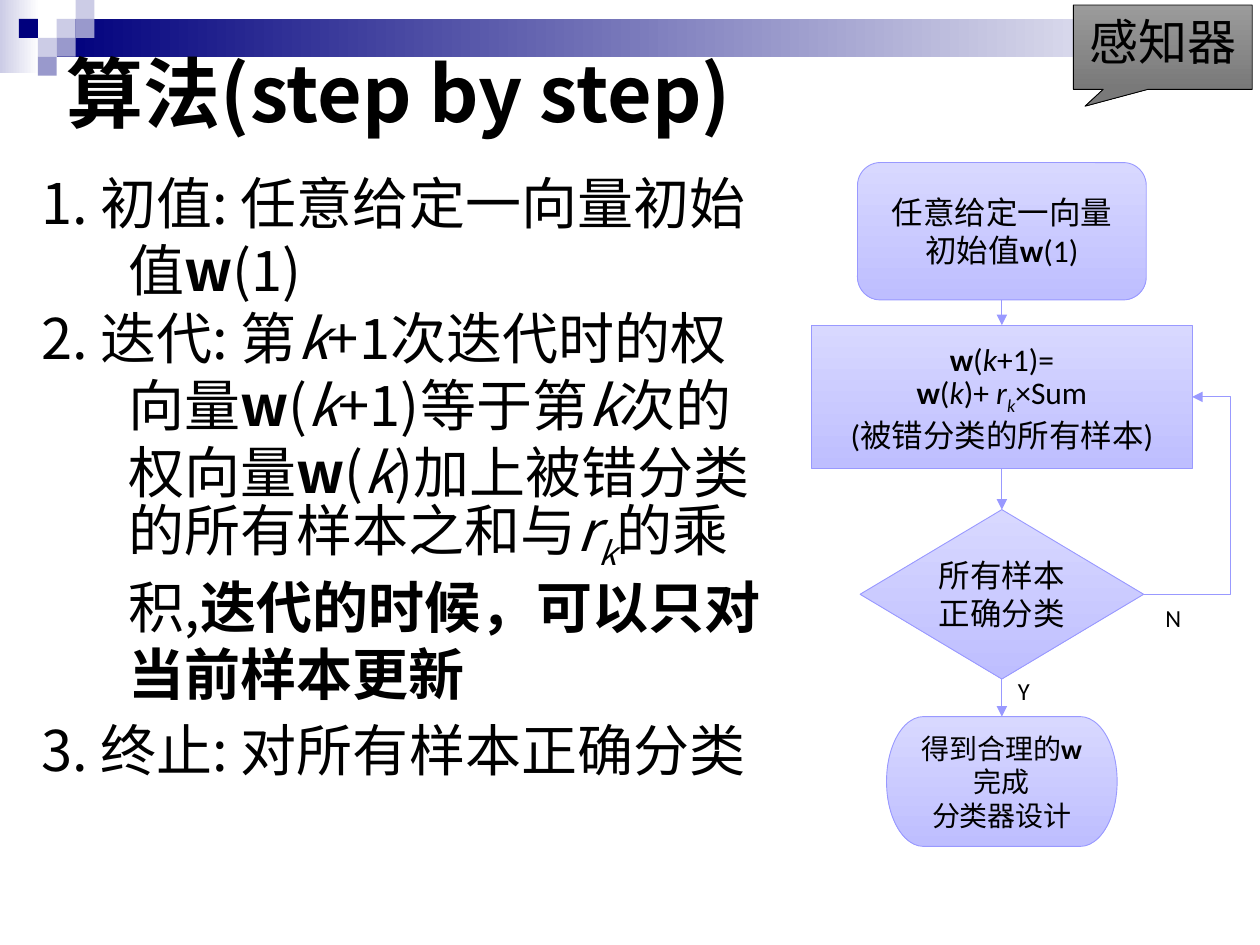
"""Build the slide that explains the batch perceptron algorithm step by step."""
import lxml.etree
import pptx
import pptx.dml.color
import pptx.enum.shapes
import pptx.enum.text
import pptx.oxml.ns
import pptx.util
from dataclasses import dataclass

Pt = pptx.util.Pt
qn = pptx.oxml.ns.qn
RGB = pptx.dml.color.RGBColor.from_string
SHAPE = pptx.enum.shapes.MSO_SHAPE
CONNECTOR = pptx.enum.shapes.MSO_CONNECTOR
ALIGN = pptx.enum.text.PP_ALIGN
ANCHOR = pptx.enum.text.MSO_ANCHOR


@dataclass
class Theme:
    text: str = "000000"
    navy: str = "00007D"
    violet: str = "9999CC"
    pale: str = "CCCCE6"
    white: str = "FFFFFF"
    outline: str = "9999FF"
    flow: tuple = ("D8D8FF", "BEBEFF")
    callout: tuple = ("9B9B9B", "797979")
    cjk_font: str = "Noto Sans CJK SC"
    flow_font: str = "Calibri"
    callout_font: str = "Arial"
    title_size: int = 44
    body_size: int = 32
    callout_size: int = 28
    flow_size: int = 18
    end_size: int = 16
    label_size: int = 14
    leading: float = 1.2
    line_width: float = 0.5


theme = Theme()


def write_text(shape, paragraphs, size, font, align, anchor, wrap):
    """Fill a shape with paragraphs of (text, style) runs; b, i, s mean bold, italic, subscript."""
    frame = shape.text_frame
    frame.word_wrap = wrap
    frame.vertical_anchor = anchor
    for index, runs in enumerate(paragraphs):
        paragraph = frame.paragraphs[0] if index == 0 else frame.add_paragraph()
        paragraph.alignment = align
        paragraph.line_spacing = Pt(round(size * theme.leading, 1))
        for text, style in runs:
            for position, piece in enumerate(text.split("\n")):
                if position:
                    paragraph.add_line_break()
                if not piece:
                    continue
                run = paragraph.add_run()
                run.text = piece
                run.font.size = Pt(size)
                run.font.bold = "b" in style
                run.font.italic = "i" in style
                run.font.color.rgb = RGB(theme.text)
                run.font.name = font
                properties = run.font._element
                lxml.etree.SubElement(properties, qn("a:ea")).set("typeface", theme.cjk_font)
                if "s" in style:
                    properties.set("baseline", "-25000")


def add_filled(kind, box, colours, angle=0, outline=None):
    """Add a shape with a plain fill for one colour or a gradient for two."""
    shape = slide.shapes.add_shape(kind, *[Pt(length) for length in box])
    shape.shadow.inherit = False
    if len(colours) == 1:
        shape.fill.solid()
        shape.fill.fore_color.rgb = RGB(colours[0])
    else:
        shape.fill.gradient()
        shape.fill.gradient_angle = angle
        for stop, colour, position in zip(shape.fill.gradient_stops, colours, (0, 1)):
            stop.color.rgb = RGB(colour)
            stop.position = position
    if outline:
        shape.line.color.rgb = RGB(outline)
        shape.line.width = Pt(theme.line_width)
    else:
        shape.line.fill.background()
    return shape


presentation = pptx.Presentation()
presentation.slide_width = Pt(720)
presentation.slide_height = Pt(540)
slide = presentation.slides.add_slide(presentation.slide_layouts[5])

add_filled(SHAPE.RECTANGLE, (0, 0, 22.5, 41.8), (theme.pale, theme.white))
add_filled(SHAPE.RECTANGLE, (32.4, 10.8, 687.6, 21.6), (theme.navy, theme.white))
tile = 10.8
for column, row, colour in [
    (3, 1, theme.pale), (4, 0, theme.pale), (4, 1, theme.violet), (2, 2, theme.pale),
    (1, 1, theme.navy), (3, 2, theme.violet), (2, 3, theme.violet),
]:
    add_filled(SHAPE.RECTANGLE, (column * tile, row * tile, tile, tile), (colour,))

title = slide.shapes.title
title.left, title.top, title.width, title.height = Pt(31), Pt(27.4), Pt(487.4), Pt(50.4)
title.text_frame.auto_size = pptx.enum.text.MSO_AUTO_SIZE.NONE
write_text(title, [[("算法(step by step)", "b")]], theme.title_size, theme.cjk_font,
           ALIGN.LEFT, ANCHOR.MIDDLE, True)
slide.shapes._spTree.append(title._element)

steps = [
    [("1. 初值: 任意给定一向量初始值", ""), ("w", "b"), ("(1)", "")],
    [("2. 迭代: 第", ""), ("k", "i"), ("+1次迭代时的权向量", ""), ("w", "b"), ("(", ""),
     ("k", "i"), ("+1)等于第", ""), ("k", "i"), ("次的权向量", ""), ("w", "b"), ("(", ""),
     ("k", "i"), (")加上被错分类的所有样本之和与", ""), ("r", "i"), ("k", "is"),
     ("的乘积,", ""), ("迭代的时候，可以只对当前样本更新", "b")],
    [("3. 终止: 对所有样本正确分类", "")],
]
body = slide.shapes.add_textbox(Pt(16.6), Pt(92.9), Pt(427.7), Pt(396.7))
write_text(body, steps, theme.body_size, theme.cjk_font, ALIGN.LEFT, ANCHOR.TOP, True)
for paragraph in body.text_frame.paragraphs:
    properties = paragraph._p.get_or_add_pPr()
    properties.set("marL", str(Pt(49.7)))
    properties.set("indent", str(-Pt(49.7)))
body.text_frame.paragraphs[2].space_before = Pt(5)

flow_center = 572.5
flow_nodes = [
    (SHAPE.ROUNDED_RECTANGLE, 92.9, 165, 78.5, theme.flow_size,
     [("任意给定一向量\n初始值", ""), ("w", "b"), ("(1)", "")]),
    (SHAPE.RECTANGLE, 185.8, 217.4, 82.1, theme.flow_size,
     [("w", "b"), ("(", ""), ("k", "i"), ("+1)=\n", ""), ("w", "b"), ("(", ""), ("k", "i"),
      (")+ ", ""), ("r", "i"), ("k", "is"), ("×Sum\n(被错分类的所有样本)", "")]),
    (SHAPE.FLOWCHART_DECISION, 291.2, 162, 96.8, theme.flow_size,
     [("所有样本\n正确分类", "")]),
    (SHAPE.FLOWCHART_TERMINATOR, 409.5, 131.8, 74.2, theme.end_size,
     [("得到合理的", ""), ("w\n", "b"), ("完成\n分类器设计", "")]),
]
nodes = []
for kind, top, width, height, size, runs in flow_nodes:
    node = add_filled(kind, (flow_center - width / 2, top, width, height),
                      theme.flow, 270, theme.outline)
    write_text(node, [runs], size, theme.flow_font, ALIGN.CENTER, ANCHOR.MIDDLE, False)
    nodes.append(node)

for label, left, top, width in [("N", 658.8, 341.3, 23), ("Y", 574.6, 383, 20.9)]:
    box = slide.shapes.add_textbox(Pt(left), Pt(top), Pt(width), Pt(24.5))
    write_text(box, [[(label, "")]], theme.label_size, theme.flow_font,
               ALIGN.LEFT, ANCHOR.TOP, False)

arrows = [
    slide.shapes.add_connector(CONNECTOR.STRAIGHT, Pt(flow_center), upper.top + upper.height,
                               Pt(flow_center), lower.top)
    for upper, lower in zip(nodes, nodes[1:])
]
update, decision = nodes[1], nodes[2]
loop = slide.shapes.add_connector(
    CONNECTOR.ELBOW,
    decision.left + decision.width, decision.top + decision.height // 2,
    update.left + update.width, update.top + update.height // 2)
adjustments = loop._element.spPr.find(qn("a:prstGeom")).get_or_add_avLst()
guide = lxml.etree.SubElement(adjustments, qn("a:gd"))
guide.set("name", "adj1")
guide.set("fmla", "val 179100")
for arrow in [*arrows, loop]:
    arrow.line.color.rgb = RGB(theme.outline)
    arrow.line.width = Pt(theme.line_width)
    lxml.etree.SubElement(arrow.line._get_or_add_ln(), qn("a:tailEnd")).set("type", "triangle")
    lxml.etree.SubElement(arrow._element.spPr, qn("a:effectLst"))

callout = add_filled(SHAPE.RECTANGULAR_CALLOUT, (613.4, 2.9, 102.2, 48.2),
                     theme.callout, 270, theme.text)
callout.adjustments[0] = -0.435
callout.adjustments[1] = 0.7
write_text(callout, [[("感知器", "")]], theme.callout_size, theme.callout_font,
           ALIGN.CENTER, ANCHOR.TOP, True)

presentation.save("out.pptx")
